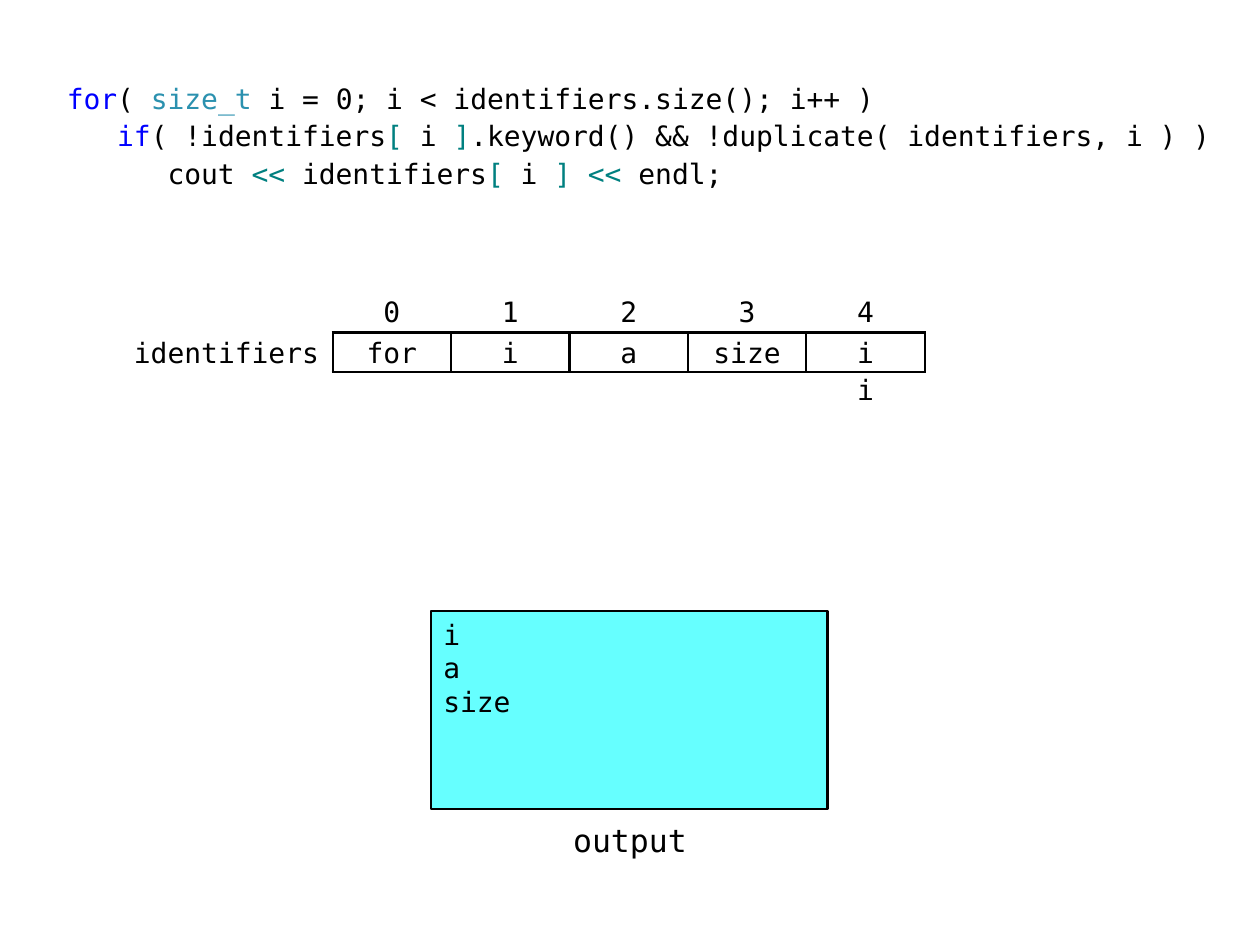
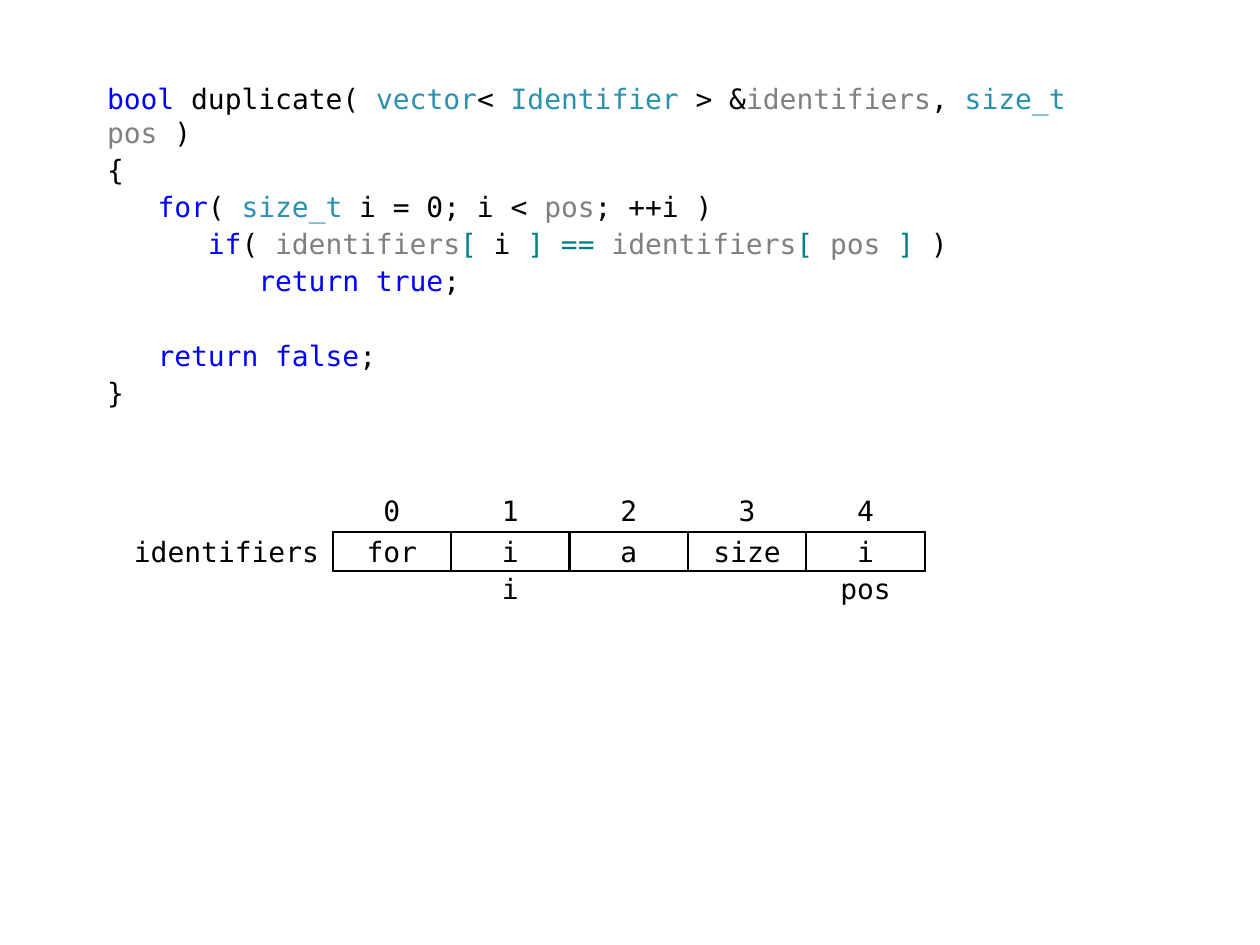
from pptx import Presentation
from pptx.dml.color import RGBColor
from pptx.enum.shapes import MSO_SHAPE
from pptx.enum.text import MSO_ANCHOR as Anchor, MSO_AUTO_SIZE as AutoSize, PP_ALIGN as Align
from pptx.oxml import parse_xml
from pptx.oxml.ns import nsdecls, qn
from pptx.util import Inches, Pt

BLACK = RGBColor(0x00, 0x00, 0x00)
KEYWORD = RGBColor(0x00, 0x00, 0xFF)
TYPE = RGBColor(0x2B, 0x91, 0xAF)
OPERATOR = RGBColor(0x00, 0x80, 0x80)
PARAMETER = RGBColor(0x80, 0x80, 0x80)
SCREEN = RGBColor(0x66, 0xFF, 0xFF)

FONT = "DejaVu Sans Mono"
LINE = Pt(1.5)
INDENT = 0.4
LINE_GAP, BLANK_LINE_GAP = 2, 23.3
CELL_WIDTH, CELL_HEIGHT = 0.94, 0.31
TABLE_LEFT = 2.64
PLAIN_TABLE = "{2D5ABB26-0587-4C30-8999-92F81FD0307C}"
WORDS = ["for", "i", "a", "size", "i"]


class CodeDeck:
    """Draws code walkthrough slides in one monospaced style."""

    def __init__(self):
        self.deck = Presentation()
        self.deck.slide_width, self.deck.slide_height = Inches(10), Inches(7.5)

    def new_slide(self):
        self.page = self.deck.slides.add_slide(self.deck.slide_layouts[1])
        title = self.page.shapes.title.element
        title.getparent().remove(title)

    def add_span(self, para, text, color=BLACK, size=16):
        span = para.add_run()
        span.text = text
        span.font.name, span.font.size = FONT, Pt(size)
        span.font.color.rgb = color

    def add_code(self, left, width, height, lines):
        box = self.page.placeholders[1]
        box.left, box.top = Inches(left), Inches(0.6)
        box.width, box.height = Inches(width), Inches(height)
        frame = box.text_frame
        frame.word_wrap, frame.auto_size = True, AutoSize.NONE
        frame.vertical_anchor = Anchor.TOP
        for row, (level, gap, spans) in enumerate(lines):
            para = frame.add_paragraph() if row else frame.paragraphs[0]
            para.space_before = Pt(gap)
            props = para._p.get_or_add_pPr()
            props.set("marL", str(Inches(level * INDENT)))
            props.set("indent", "0")
            props.append(parse_xml(f"<a:buNone {nsdecls('a')}/>"))
            for span in spans:
                self.add_span(para, *span)

    def add_label(self, text, left, top, width, height, align, size=16, left_inset=0.0):
        box = self.page.shapes.add_textbox(*map(Inches, (left, top, width, height)))
        frame = box.text_frame
        frame.word_wrap, frame.vertical_anchor = True, Anchor.MIDDLE
        frame.margin_left, frame.margin_right = Inches(left_inset), Inches(0.1)
        frame.margin_top = frame.margin_bottom = 0
        para = frame.paragraphs[0]
        para.alignment = align
        self.add_span(para, text, size=size)

    def add_borders(self, cell, sides):
        props = cell._tc.get_or_add_tcPr()
        for side in sides:
            props.append(parse_xml(
                f'<a:ln{side} {nsdecls("a")} w="{LINE}"><a:solidFill>'
                f'<a:srgbClr val="{BLACK}"/></a:solidFill></a:ln{side}>'))

    def add_vector(self, top, markers):
        self.add_label("identifiers", 1.06, top + CELL_HEIGHT, 1.57, CELL_HEIGHT, Align.RIGHT)
        count = len(WORDS)
        table = self.page.shapes.add_table(
            3, count, Inches(TABLE_LEFT), Inches(top),
            Inches(count * CELL_WIDTH), Inches(3 * CELL_HEIGHT)).table
        table.first_row = table.horz_banding = False
        table._tbl.tblPr.find(qn("a:tableStyleId")).text = PLAIN_TABLE
        for column in table.columns:
            column.width = Inches(CELL_WIDTH)
        rows = [
            ([str(index) for index in range(count)], "B"),
            (WORDS, "LRTB"),
            ([markers.get(index, "") for index in range(count)], "T"),
        ]
        for row, (texts, sides) in enumerate(rows):
            table.rows[row].height = Inches(CELL_HEIGHT)
            for column, text in enumerate(texts):
                cell = table.cell(row, column)
                cell.margin_top = Inches(0.02 if row == 1 else 0)
                cell.margin_bottom = 0
                cell.vertical_anchor = Anchor.MIDDLE
                self.add_borders(cell, sides)
                cell.fill.background()
                para = cell.text_frame.paragraphs[0]
                para.alignment = Align.CENTER
                if text:
                    self.add_span(para, text)

    def add_output(self, lines):
        box = self.page.shapes.add_shape(
            MSO_SHAPE.RECTANGLE, Inches(3.42), Inches(4.85), Inches(3.15), Inches(1.57))
        box.shadow.inherit = False
        box.fill.solid()
        box.fill.fore_color.rgb = SCREEN
        box.line.color.rgb, box.line.width = BLACK, LINE
        frame = box.text_frame
        frame.word_wrap, frame.vertical_anchor = True, Anchor.TOP
        for row, line in enumerate(lines):
            para = frame.add_paragraph() if row else frame.paragraphs[0]
            para.alignment = Align.LEFT
            self.add_span(para, line)
        self.add_label("output", 4.37, 6.43, 1.26, 0.47, Align.CENTER, 18, 0.1)


PRINT_LOOP = [
    (0, LINE_GAP, [("for", KEYWORD), ("( ",), ("size_t", TYPE),
                   (" i = 0; i < identifiers.size(); i++ )",)]),
    (1, LINE_GAP, [("if", KEYWORD), ("( !identifiers",), ("[", OPERATOR), (" i ",),
                   ("]", OPERATOR), (".keyword() && !duplicate( identifiers, i ) )",)]),
    (2, LINE_GAP, [("cout ",), ("<<", OPERATOR), (" identifiers",), ("[", OPERATOR),
                   (" i ",), ("] <<", OPERATOR), (" endl;",)]),
]

DUPLICATE_FUNCTION = [
    (0, LINE_GAP, [("bool", KEYWORD), (" duplicate( ",), ("vector", TYPE), ("< ",),
                   ("Identifier", TYPE), (" > &",), ("identifiers", PARAMETER), (", ",),
                   ("size_t ", TYPE), ("pos", PARAMETER), (" )",)]),
    (0, LINE_GAP, [("{",)]),
    (1, LINE_GAP, [("for", KEYWORD), ("( ",), ("size_t", TYPE), (" i = 0; i < ",),
                   ("pos", PARAMETER), ("; ++i )",)]),
    (2, LINE_GAP, [("if", KEYWORD), ("( ",), ("identifiers", PARAMETER), ("[", OPERATOR),
                   (" i ",), ("] == ", OPERATOR), ("identifiers", PARAMETER),
                   ("[ ", OPERATOR), ("pos ", PARAMETER), ("]", OPERATOR), (" )",)]),
    (3, LINE_GAP, [("return true", KEYWORD), (";",)]),
    (1, BLANK_LINE_GAP, [("return false", KEYWORD), (";",)]),
    (0, LINE_GAP, [("}",)]),
]

show = CodeDeck()

show.new_slide()
show.add_code(0.43, 9.29, 0.94, PRINT_LOOP)
show.add_vector(2.33, {4: "i"})
show.add_output(["i", "a", "size"])

show.new_slide()
show.add_code(0.75, 8.51, 2.52, DUPLICATE_FUNCTION)
show.add_vector(3.91, {1: "i", 4: "pos"})

show.deck.save("out.pptx")
